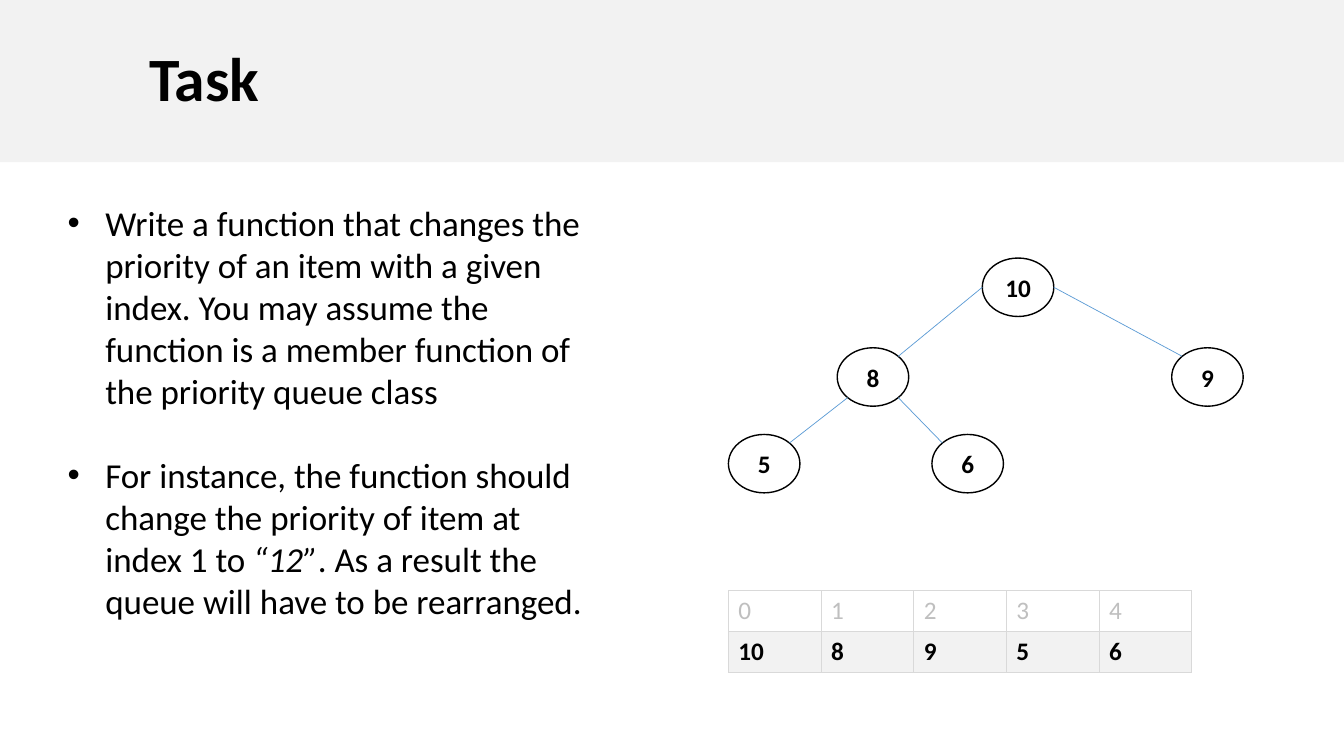
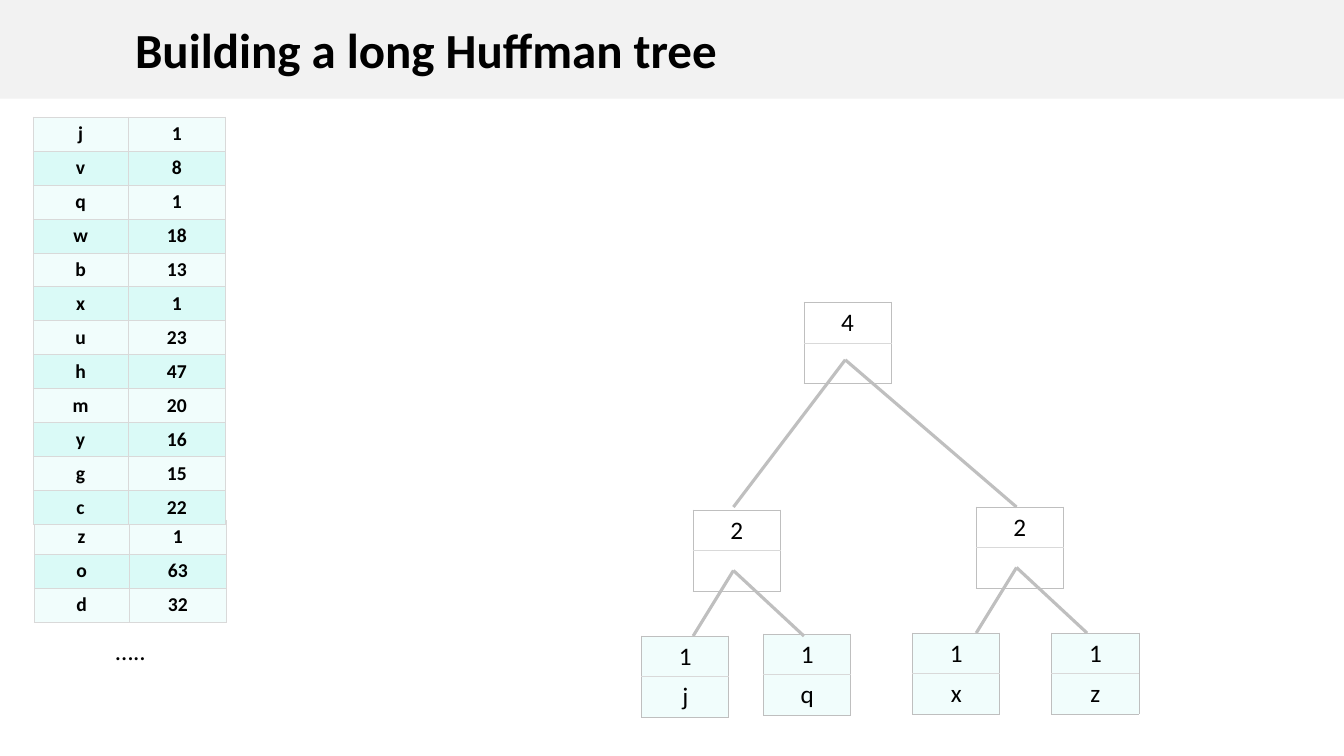
from dataclasses import dataclass
from math import cos, radians, sin

from lxml import etree
from pptx import Presentation
from pptx.dml.color import RGBColor
from pptx.enum.shapes import MSO_CONNECTOR, MSO_SHAPE
from pptx.enum.text import MSO_ANCHOR, MSO_AUTO_SIZE, PP_ALIGN
from pptx.oxml.ns import qn
from pptx.util import Inches, Pt

LEFT, CENTER = PP_ALIGN.LEFT, PP_ALIGN.CENTER
MIDDLE, TOP = MSO_ANCHOR.MIDDLE, MSO_ANCHOR.TOP
NO_FIT = MSO_AUTO_SIZE.NONE
OVAL, LINE = MSO_SHAPE.OVAL, MSO_CONNECTOR.STRAIGHT


@dataclass(frozen=True)
class Theme:
    font: str = "Calibri"
    ink: str = "000000"
    white: str = "FFFFFF"
    band: str = "F2F2F2"
    rule: str = "D9D9D9"
    gray: str = "BFBFBF"
    blue: str = "5B9BD5"
    pale: str = "F1FDFC"
    mint: str = "DAFAF7"
    head: int = 44
    subhead: int = 35
    body: int = 25
    label: int = 18
    small: int = 14
    hair: float = 0.45
    thin: float = 0.75


T = Theme()

# The layout grid has ten columns and ten rows to the inch
WIDE, HIGH = 133.4, 75
OVAL_W, OVAL_H = 7.1, 5.8
CARD_W, CARD_ROW = 8.65, 4.02


def unit(n):
    return Inches(n / 10)


def units(*nums):
    return [unit(n) for n in nums]


def rgb(hue):
    return RGBColor.from_string(hue)


def style(para, size, hue=T.ink, bold=False, align=LEFT):
    para.alignment = align
    font = para.font
    font.name, font.size, font.bold = T.font, Pt(size), bold
    font.color.rgb = rgb(hue)


def paint(shape, hue):
    shape.fill.solid()
    shape.fill.fore_color.rgb = rgb(hue)


def place(shape, box):
    shape.left, shape.top, shape.width, shape.height = units(*box)


def link(slide, start, end, hue, width):
    line = slide.shapes.add_connector(LINE, *units(*start, *end))
    line.line.color.rgb = rgb(hue)
    line.line.width = Pt(width)
    etree.SubElement(line._element.spPr, qn("a:effectLst"))


# Title band
def title(slide, text, high, size, inset, drop=0):
    band = slide.shapes.title
    place(band, (0, 0, WIDE, high))
    paint(band, T.band)
    frame = band.text_frame
    frame.text = text
    frame.auto_size = NO_FIT
    frame.vertical_anchor = MIDDLE
    frame.margin_left = unit(inset)
    frame.margin_top = unit(0.5 + drop)
    para = frame.paragraphs[0]
    para.line_spacing = 0.9
    style(para, size, bold=True)


# Bulleted list; each item is a list of (text, italic) runs
def bullets(slide, box, items):
    body = slide.placeholders[1]
    place(body, box)
    frame = body.text_frame
    frame.auto_size = NO_FIT
    frame.vertical_anchor = TOP
    for i, item in enumerate(items):
        para = frame.paragraphs[0] if i == 0 else frame.add_paragraph()
        props = para._p.get_or_add_pPr()
        props.set("marL", str(unit(3.75)))
        props.set("indent", str(unit(-3.75)))
        para.space_before = Pt(30 if i else 0)
        mark = etree.SubElement(props, qn("a:buChar"))
        mark.set("char", "•")
        style(para, T.body)
        for text, slant in item:
            run = para.add_run()
            run.text = text
            if slant:
                run.font.italic = True


def border(cell, sides):
    props = cell._tc.get_or_add_tcPr()
    for i, (side, (hue, width)) in enumerate(zip("LRTB", sides)):
        line = etree.Element(qn(f"a:ln{side}"), w=str(Pt(width)))
        fill = etree.SubElement(line, qn("a:solidFill"))
        etree.SubElement(fill, qn("a:srgbClr"), val=hue)
        props.insert(i, line)


# Ruled table; look(row) gives fill, text colour and weight
def grid(slide, at, cols, high, rows, look, size=T.label, align=CENTER,
         outer=(T.rule, T.hair)):
    box = units(*at, sum(cols), high * len(rows))
    table = slide.shapes.add_table(len(rows), len(cols), *box).table
    table.first_row = table.horz_banding = False
    for col, wide in zip(table.columns, cols):
        col.width = unit(wide)
    inner = (T.rule, T.hair)
    for r, row in enumerate(rows):
        table.rows[r].height = unit(high)
        fill, hue, bold = look(r)
        for c, text in enumerate(row):
            cell = table.cell(r, c)
            cell.text = text
            paint(cell, fill)
            style(cell.text_frame.paragraphs[0], size, hue, bold, align)
            edges = (c == 0, c == len(cols) - 1, r == 0, r == len(rows) - 1)
            border(cell, [outer if edge else inner for edge in edges])


# Heap of round nodes, placed from the corner of its box
def heap(slide, at, nodes, edges):
    spots = {key: (at[0] + x, at[1] + y) for key, (x, y) in nodes.items()}

    def port(key, angle):
        x, y = spots[key]
        turn = radians(angle)
        return (x + OVAL_W / 2 * (1 + cos(turn)),
                y + OVAL_H / 2 * (1 + sin(turn)))

    for key, spot in spots.items():
        node = slide.shapes.add_shape(OVAL, *units(*spot, OVAL_W, OVAL_H))
        node.shadow.inherit = False
        paint(node, T.white)
        node.line.color.rgb = rgb(T.ink)
        node.line.width = Pt(1)
        node.text_frame.text = key
        node.text_frame.vertical_anchor = MIDDLE
        style(node.text_frame.paragraphs[0], T.label, bold=True, align=CENTER)
    for start, leave, end, reach in edges:
        link(slide, port(start, leave), port(end, reach), T.blue, 0.5)


def card(slide, at, count, name=""):
    fill = T.pale if name else T.white
    grid(slide, at, [CARD_W], CARD_ROW, [[count], [name]],
         lambda r: (fill, T.ink, False), outer=(T.gray, T.thin))


# Pair of leaves under their sum; leaves are (name, column, row) from it
def branch(slide, at, leaves):
    x, y = at
    for name, dx, dy in leaves:
        card(slide, (x + dx, y + dy), "1", name)
    card(slide, at, "2")
    for dx in (11, 0):
        link(slide, (x + dx, y + 12.5), (x + 4, y + 6), T.gray, 2.25)


# Letter counts in alternating tints
def counts(slide, at, text):
    rows = [pair.split(":") for pair in text.split()]
    grid(slide, at, [9.4, 9.7], 3.35, rows,
         lambda r: (T.mint if r % 2 else T.pale, T.ink, True), T.small)


def task(deck):
    slide = deck.slides.add_slide(deck.slide_layouts[1])
    title(slide, "Task", 16.1, T.head, 14.8)
    bullets(slide, (5.7, 19.5, 55, 42.7), [
        [("Write a function that changes the priority of an item with a "
          "given index. You may assume the function is a member function "
          "of the priority queue class", False)],
        [("For instance, the function should change the priority of item "
          "at index 1 to ", False), ("“12”", True),
         (". As a result the queue will have to be rearranged.", False)],
    ])
    heap(slide, (72.3, 25.6),
         {"10": (25.2, 0), "8": (10.8, 8.9), "9": (44, 8.9),
          "6": (20.2, 17.5), "5": (0, 17.5)},
         [("10", 180, "8", 315), ("10", 0, "9", 225),
          ("8", 135, "5", 315), ("8", 45, "6", 225)])
    looks = [(T.white, T.gray, False), (T.band, T.ink, True)]
    grid(slide, (72.3, 58.6), [9.2] * 5, 4.02,
         [list("01234"), ["10", "8", "9", "5", "6"]],
         lambda r: looks[r], align=LEFT)


def huffman(deck):
    slide = deck.slides.add_slide(deck.slide_layouts[5])
    title(slide, "Building a long Huffman tree", 9.8, T.subhead, 13.4, 0.7)
    # Letter counts
    counts(slide, (3.4, 51.6), "z:1 o:63 d:32")
    counts(slide, (3.3, 11.6), "j:1 v:8 q:1 w:18 b:13 x:1 "
                               "u:23 h:47 m:20 y:16 g:15 c:22")
    more = slide.shapes.add_textbox(*units(10.5, 62.5, 5, 4)).text_frame
    more.text = "….."
    style(more.paragraphs[0], T.label)
    # Tree
    card(slide, (79.8, 30), "4")
    branch(slide, (68.8, 50.6), [("j", -5.1, 12.5), ("q", 7, 12.3)])
    branch(slide, (96.9, 50.3), [("x", -6.3, 12.5), ("z", 7.5, 12.5)])
    for x in (100.9, 72.8):
        link(slide, (x, 50.3), (83.9, 35.7), T.gray, 2.25)


def main():
    deck = Presentation()
    deck.slide_width, deck.slide_height = units(WIDE, HIGH)
    task(deck)
    huffman(deck)
    deck.save("out.pptx")


if __name__ == "__main__":
    main()
